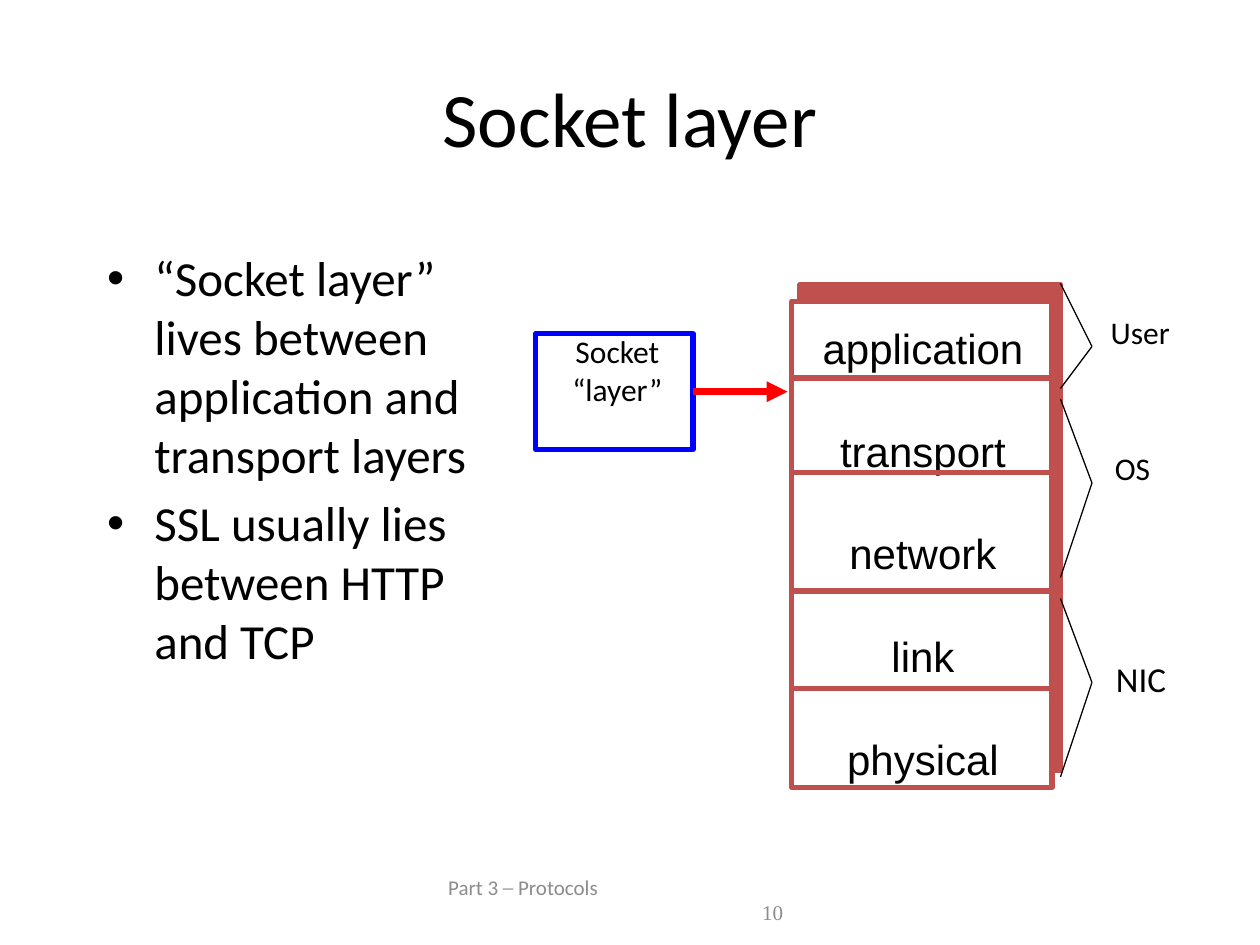
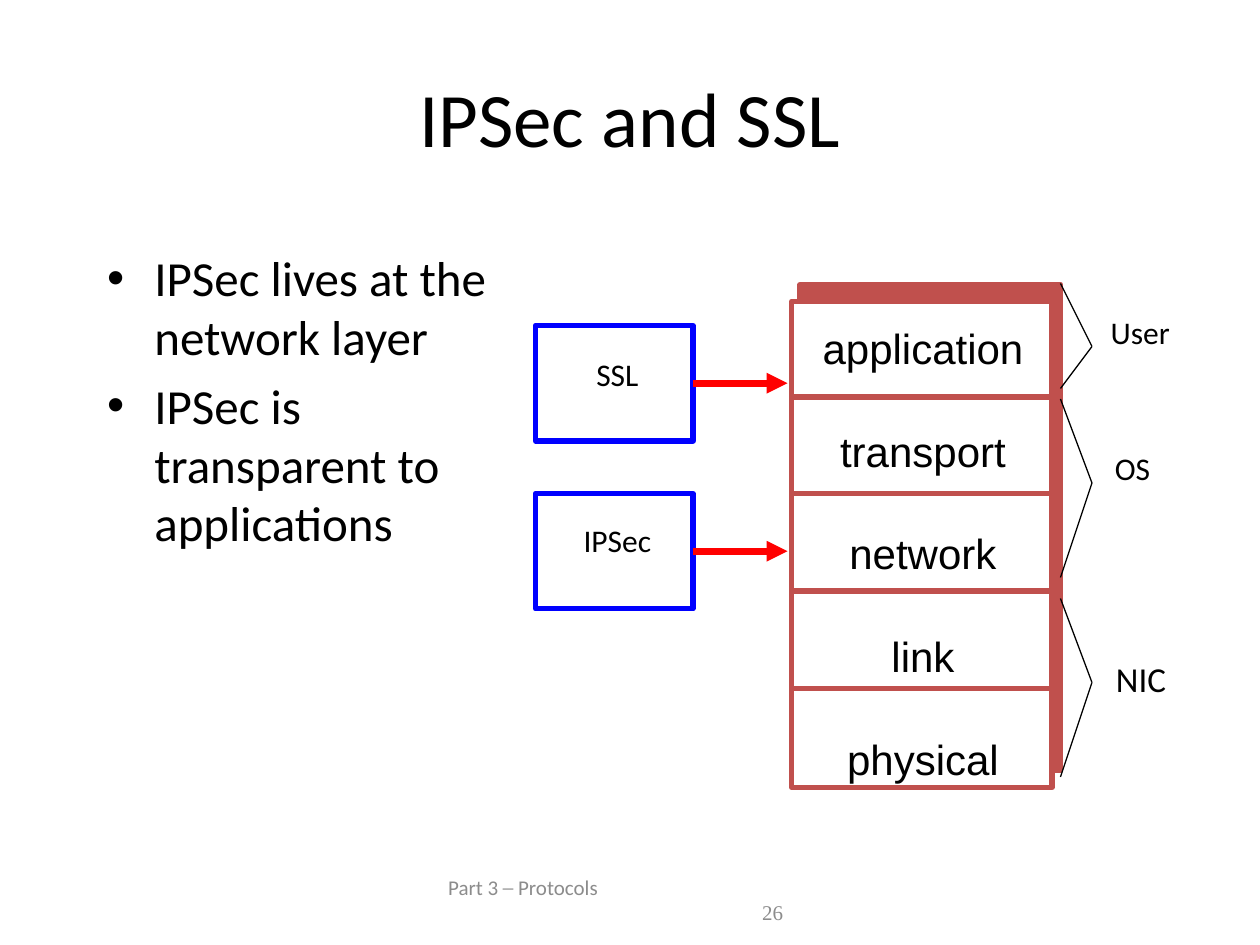
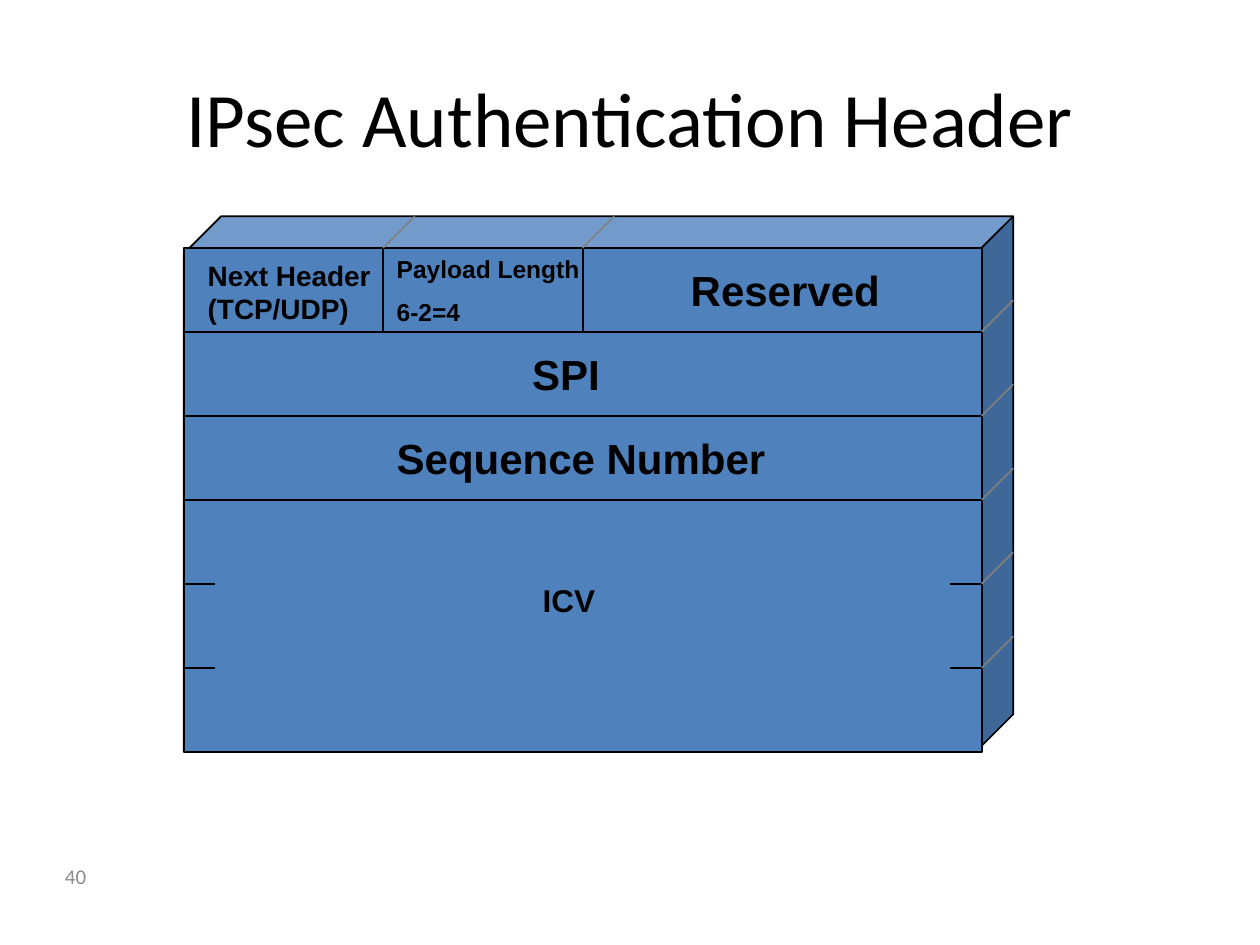
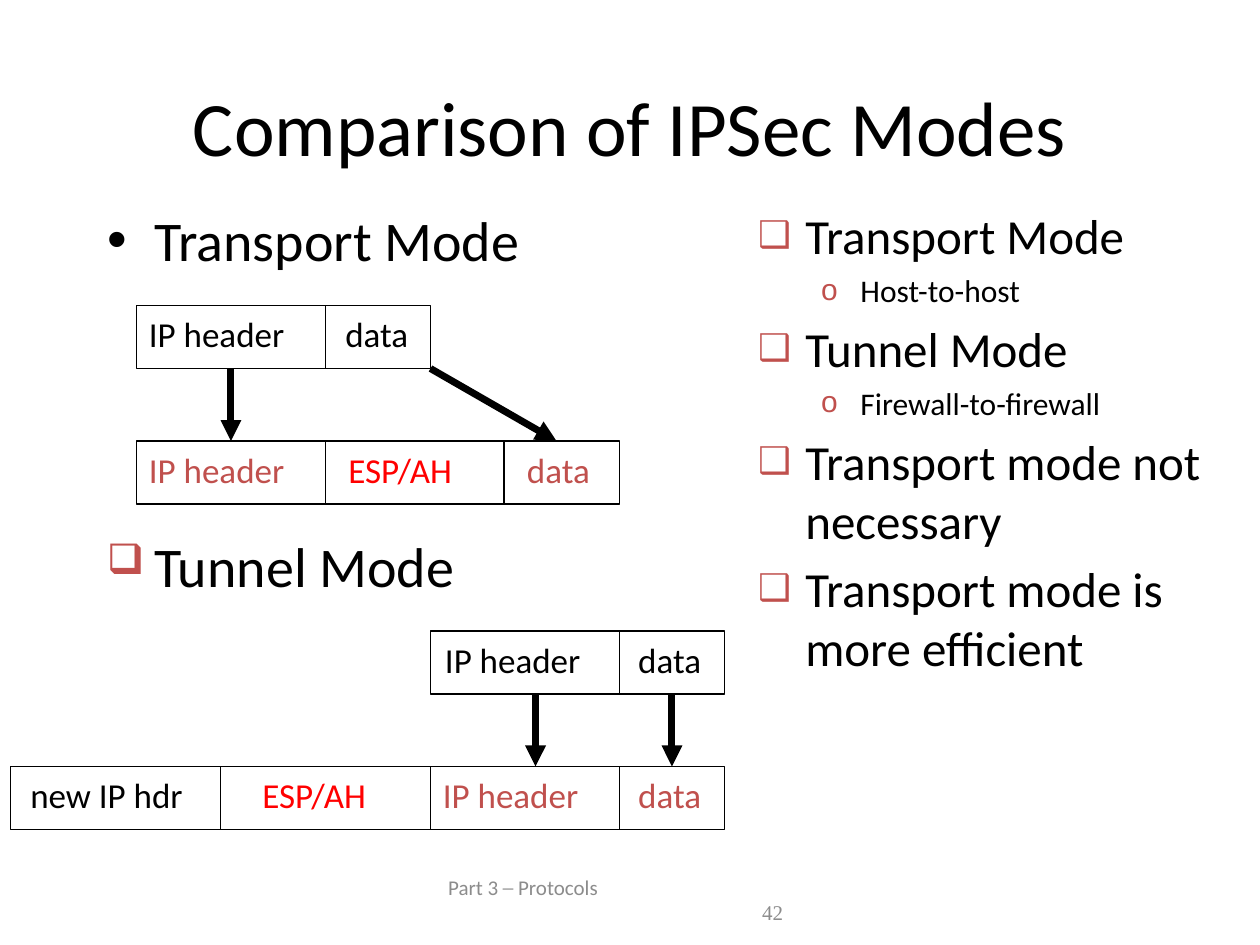
"""Builds four slides on the socket layer, IPSec and SSL."""
from itertools import pairwise
from lxml import etree
from pptx import Presentation, util as u
from pptx.dml.color import RGBColor
from pptx.enum import shapes as kinds, text as txt
from pptx.oxml import ns

BLACK = RGBColor(0, 0, 0)
WHITE = RGBColor(255, 255, 255)
BRICK = RGBColor(0xC0, 0x50, 0x4D)
RED = RGBColor(255, 0, 0)
BLUE = RGBColor(0, 0, 255)
STEEL = RGBColor(0x4F, 0x81, 0xBD)
GRAY = RGBColor(0x80, 0x80, 0x80)
PALE = RGBColor(0x8C, 0x8C, 0x8C)
SCALE = 7620
MID, LEFT = txt.PP_ALIGN.CENTER, txt.PP_ALIGN.LEFT
RECT, CUBE = kinds.MSO_SHAPE.RECTANGLE, kinds.MSO_SHAPE.CUBE

TITLE = (60, 36, 1080, 150)
BODY = (90, 230, 390, 560)
LAYERS = ["application", "transport", "network", "link", "physical"]
STACK = (754, 287, 248, 463)
BACK = (762, 271, 248, 463)
ZONES = [
    ("User", 18, 1046, 292, (270, 330, 370)),
    ("OS", 18, 1050, 422, (380, 460, 550)),
    ("NIC", 20, 1051, 620, (570, 650, 740)),
]
STACKS = [
    dict(
        title="Socket layer",
        page="10",
        points=["“Socket layer” lives between application and transport layers",
                "SSL usually lies between HTTP and TCP"],
        cuts=[360, 450, 563, 656],
        tags=[("Socket\n“layer”", 318, 310)],
    ),
    dict(
        title="IPSec and SSL",
        page="26",
        points=["IPSec lives at the network layer",
                "IPSec is transparent to applications"],
        cuts=[378, 470, 563, 656],
        tags=[("SSL", 310, 332), ("IPSec", 470, 490)],
    ),
]

GRID = (175, 236)
COL, ROW, DEPTH = 190, 80, 30
CELLS = [(0, 0, 1, 1), (1, 0, 1, 1), (2, 0, 2, 1),
         (0, 1, 4, 1), (0, 2, 4, 1), (0, 3, 4, 3)]
FIELDS = [
    ("Next Header\v(TCP/UDP)", 16, (186, 240, 200, 77)),
    ("Payload Length\n6-2=4", 14, (366, 236, 200, 82)),
    ("Reserved", 24, (646, 246, 204, 60)),
    ("SPI", 24, (495, 326, 89, 60)),
    ("Sequence Number", 24, (366, 406, 380, 60)),
    ("ICV", 18, (505, 547, 102, 68)),
]

STRIPS = [
    (130, 291, [("IP header", 180, 0, BLACK), ("data", 100, 7, BLACK)]),
    (130, 420, [("IP header", 180, 0, BRICK), ("ESP/AH", 170, 10, RED),
                ("data", 110, 10, BRICK)]),
    (410, 601, [("IP header", 180, 2, BLACK), ("data", 100, 6, BLACK)]),
    (10, 730, [("new IP hdr", 200, 7, BLACK), ("ESP/AH", 200, 28, RED),
               ("IP header", 180, 0, BRICK), ("data", 100, 6, BRICK)]),
]
HEIGHT = 60
MOVES = [((220, 351), (220, 420)), ((410, 351), (530, 420)),
         ((510, 661), (510, 730)), ((640, 661), (640, 730))]
MODES = [
    (0, "Transport Mode"), (1, "Host-to-host"),
    (0, "Tunnel Mode"), (1, "Firewall-to-firewall"),
    (0, "Transport mode not necessary"),
    (0, "Transport mode is more efficient"),
]
MARKS = [("❑", 75), ("o", 95)]


def px(*vals):
    return [u.Emu(int(v * SCALE)) for v in vals]


def place(shape, rect):
    shape.left, shape.top, shape.width, shape.height = px(*rect)


def style(para, size, color=BLACK, font="Calibri", bold=False):
    for run in para.runs:
        face = run.font
        face.size, face.name, face.bold = u.Pt(size), font, bold
        face.color.rgb = color


def write(shape, words, size, color=BLACK, font="Calibri",
          bold=False, align=None, gap=None):
    frame = shape.text_frame
    frame.word_wrap = True
    frame.text = words
    for num, para in enumerate(frame.paragraphs):
        if align is not None:
            para.alignment = align
        if gap and num:
            para.space_before = u.Pt(gap)
        style(para, size, color, font, bold)
    return shape


def label(slide, rect, words, size, **look):
    return write(slide.shapes.add_textbox(*px(*rect)), words, size, **look)


def block(slide, rect, line, width, fill=None, kind=RECT):
    shape = slide.shapes.add_shape(kind, *px(*rect))
    shape.shadow.inherit = False
    if fill is None:
        shape.fill.background()
    else:
        shape.fill.solid()
        shape.fill.fore_color.rgb = fill
    shape.line.color.rgb, shape.line.width = line, u.Pt(width)
    return shape


def rule(slide, start, end, color=BLACK, width=0.75, arrow=False):
    line = slide.shapes.add_connector(
        kinds.MSO_CONNECTOR.STRAIGHT, *px(*start, *end))
    line.line.color.rgb, line.line.width = color, u.Pt(width)
    props = line._element.spPr
    if arrow:
        etree.SubElement(props.find(ns.qn("a:ln")), ns.qn("a:tailEnd"),
                         type="triangle")
    etree.SubElement(props, ns.qn("a:effectLst"))
    return line


def mark(para, level):
    """Gives a paragraph the brick-coloured bullet of its level."""
    sign, share = MARKS[level]
    props = para._p.get_or_add_pPr()
    tint = etree.SubElement(props, ns.qn("a:buClr"))
    etree.SubElement(tint, ns.qn("a:srgbClr"), val=str(BRICK))
    etree.SubElement(props, ns.qn("a:buSzPct"), val=str(share * 1000))
    etree.SubElement(props, ns.qn("a:buChar"), char=sign)


def start(deck, layout, title, rect=TITLE):
    slide = deck.slides.add_slide(deck.slide_layouts[layout])
    place(slide.shapes.title, rect)
    write(slide.shapes.title, title, 44, align=MID)
    return slide


def footer(slide, page):
    label(slide, (415, 827, 200, 40), "Part 3 ─ Protocols", 12, color=PALE)
    label(slide, (714, 851, 60, 40), page, 12, color=PALE,
          font="Times New Roman")


def stack(deck, data):
    slide = start(deck, 1, data["title"])
    body = slide.placeholders[1]
    place(body, BODY)
    write(body, "\n".join(data["points"]), 28)
    footer(slide, data["page"])
    block(slide, BACK, BRICK, 3, BRICK)
    block(slide, STACK, BRICK, 3, WHITE)
    left, _, width, _ = STACK
    label(slide, (769, 301, 220, 449), "\n".join(LAYERS), 24,
          font="Arial", align=MID, gap=30)
    for y in data["cuts"]:
        rule(slide, (left, y), (left + width, y), BRICK, 3)
    for words, top, head in data["tags"]:
        label(slide, (510, head, 156, 68), words, 18, align=MID)
        box = block(slide, (510, top, 150, 110), BLUE, 3)
        y = top + 55
        rule(slide, (660, y), (750, y), RED, 4, True).begin_connect(box, 3)
    for words, size, x, top, ends in ZONES:
        for one, two in pairwise(zip((1010, 1040, 1010), ends)):
            rule(slide, one, two)
        label(slide, (x, top, 114, 68), words, size)


def packet(deck):
    slide = start(deck, 5, "IPsec Authentication Header")
    page = label(slide, (50, 810, 280, 48), "40", 12, color=PALE)
    page.text_frame.vertical_anchor = txt.MSO_ANCHOR.MIDDLE
    left, top = GRID
    right = left + 4 * COL
    cube = block(slide, (left, top - DEPTH, 4 * COL + DEPTH, 6 * ROW + DEPTH),
                 BLACK, 1, STEEL, CUBE)
    cube.adjustments[0] = 0.07
    for col, row, wide, high in CELLS:
        block(slide, (left + col * COL, top + row * ROW,
                      wide * COL, high * ROW), BLACK, 1, STEEL)
    for row in (4, 5):
        y = top + row * ROW
        for x in (left, right - DEPTH):
            rule(slide, (x, y), (x + DEPTH, y), BLACK, 1)
    for words, size, rect in FIELDS:
        label(slide, rect, words, size, font="Arial", bold=True, gap=8)
    edges = [(right, top + row * ROW) for row in range(1, 6)]
    edges += [(left + col * COL, top) for col in (1, 2)]
    for x, y in edges:
        rule(slide, (x, y), (x + DEPTH, y - DEPTH), GRAY, 1)


def strip(slide, left, top, cells):
    total = sum(cell[1] for cell in cells)
    block(slide, (left, top, total, HEIGHT), BLACK, 0.75)
    x = left
    for words, width, shift, color in cells:
        if x > left:
            rule(slide, (x, top), (x, top + HEIGHT))
        label(slide, (x + shift, top + 1, width, 59), words, 20, color=color)
        x += width


def modes(deck):
    slide = start(deck, 3, "Comparison of IPSec Modes", (90, 60, 1020, 120))
    first, second = slide.placeholders[1], slide.placeholders[2]
    place(first, (90, 190, 580, 100))
    write(first, "Transport Mode", 32)
    footer(slide, "42")
    head = label(slide, (90, 500, 520, 100), "Tunnel Mode", 32)
    para = head.text_frame.paragraphs[0]
    props = para._p.get_or_add_pPr()
    props.set("marL", "342900")
    props.set("indent", "-342900")
    para.space_before = u.Pt(6)
    mark(para, 0)
    for part in STRIPS:
        strip(slide, *part)
    for one, two in MOVES:
        rule(slide, one, two, BLACK, 4, True)
    place(second, (710, 190, 450, 630))
    write(second, "\n".join(words for _, words in MODES), 28)
    for para, (level, _) in zip(second.text_frame.paragraphs, MODES):
        para.level = level
        style(para, (28, 18)[level])
        mark(para, level)


def main():
    deck = Presentation()
    deck.slide_width, deck.slide_height = px(1200, 900)
    for data in STACKS:
        stack(deck, data)
    packet(deck)
    modes(deck)
    deck.save("out.pptx")


if __name__ == "__main__":
    main()
